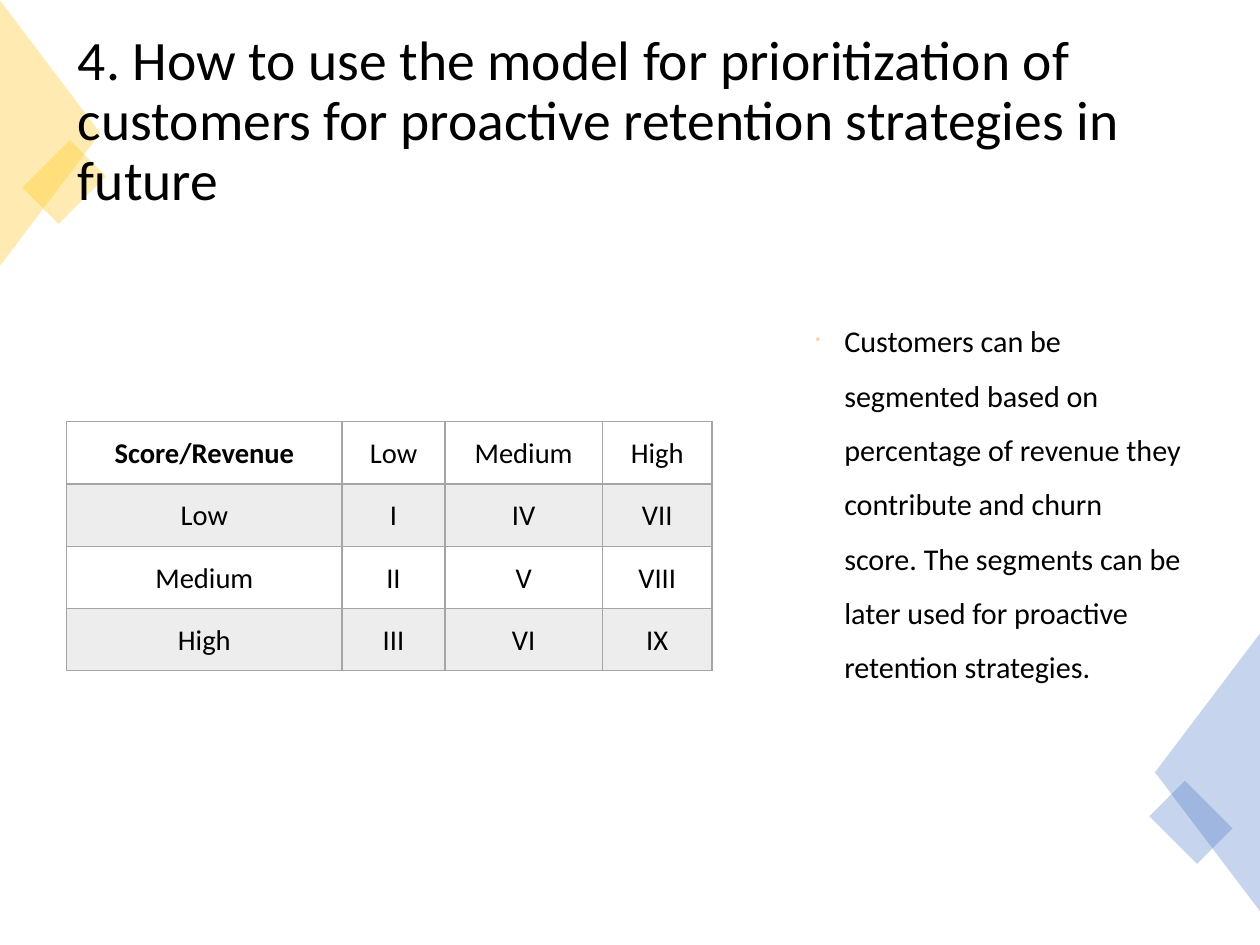
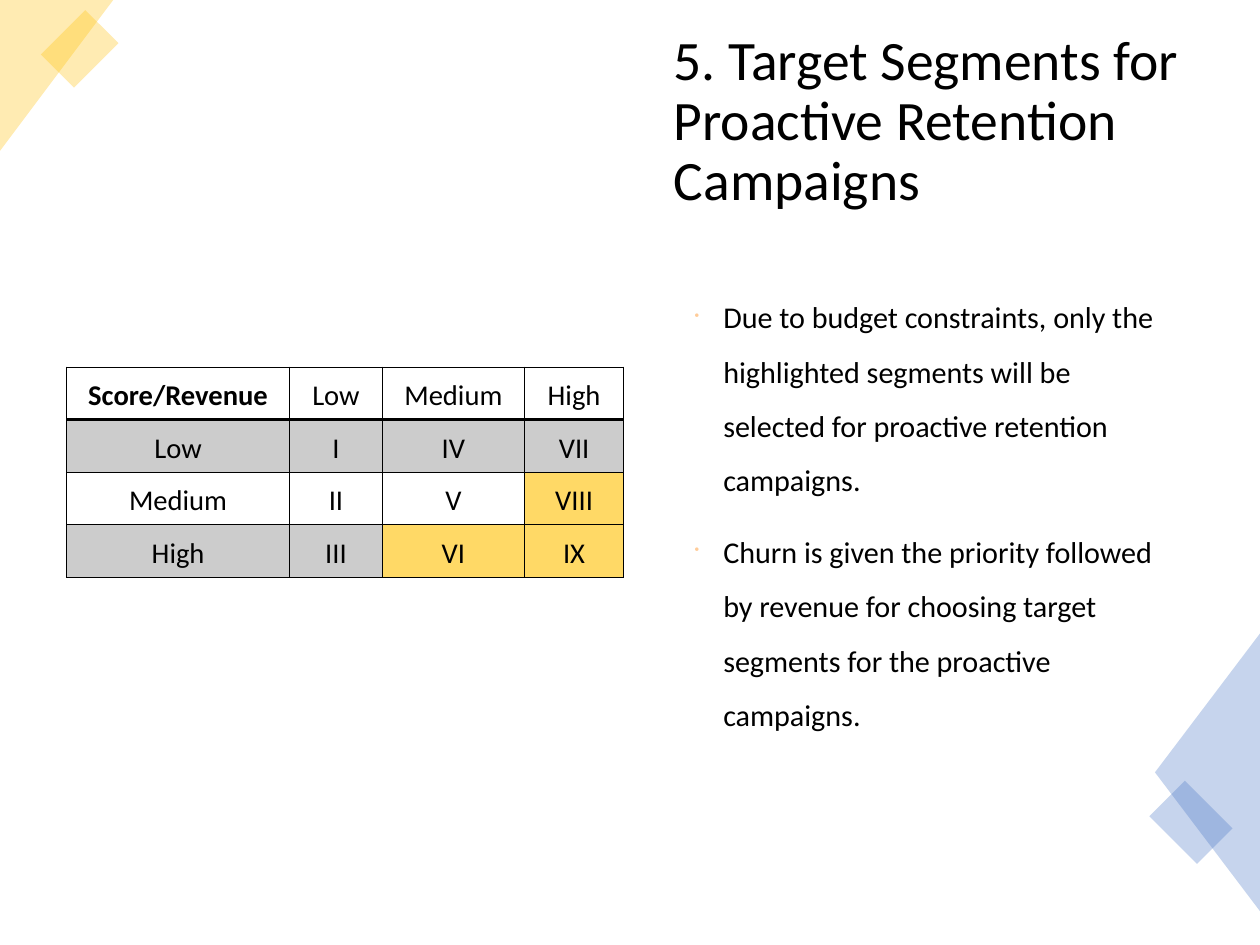
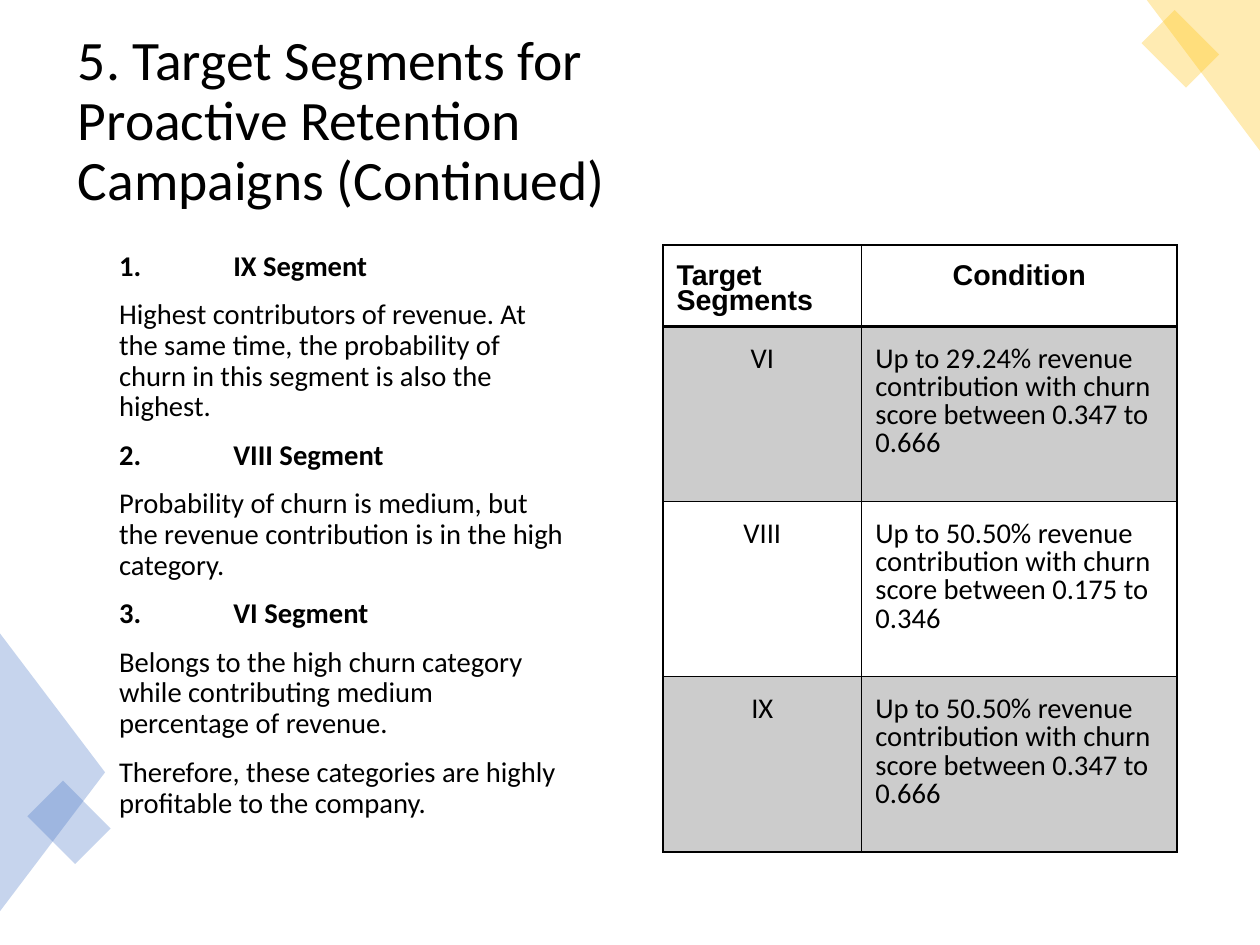
from dataclasses import dataclass, replace

from lxml import etree
from pptx import Presentation
from pptx import util as u
from pptx.dml.color import RGBColor
from pptx.enum import shapes, text
from pptx.oxml import ns
from pptx.slide import Slide

SLIDE_W, SLIDE_H = 793.75, 595.25
LEFT_MARGIN = 42
TITLE_TOP, TITLE_H = 28.1, 98.6
BODY_TOP, BODY_H = 154.8, 381.6


@dataclass(frozen=True)
class Theme:
    ink: str = "000000"
    yellow: str = "FFC000"
    blue: str = "4472C4"
    grey: str = "A5A5A5"
    highlight: str = "FFD966"
    bullet: str = "FFCC99"
    decor_alpha: int = 30
    shade_alpha: int = 20
    font: str = "Calibri"
    head_font: str = "Arial"
    title_size: int = 35
    bullet_size: int = 19
    text_size: int = 18


T = Theme()


@dataclass(frozen=True)
class Decor:
    kind: shapes.MSO_SHAPE
    left: float
    top: float
    width: float
    height: float
    rotation: int
    color: str
    apex: float = 0.5

    def mirrored(self) -> "Decor":
        """Reflect across the slide's vertical centre line."""
        return replace(self, left=SLIDE_W - self.left - self.width,
                       rotation=-self.rotation % 360, apex=1 - self.apex)


@dataclass(frozen=True)
class Box:
    left: float
    top: float
    width: float
    height: float


@dataclass(frozen=True)
class Grid:
    left: float
    top: float
    cols: tuple[float, ...]
    rows: tuple[float, ...]
    cells: tuple[tuple[str, ...], ...]
    line: str
    insets: tuple[float, float, float]  # sides, top, bottom
    bold_heads: int = 1
    head_font: str = T.font
    left_aligned: frozenset[tuple[int, int]] = frozenset()
    highlights: frozenset[tuple[int, int]] = frozenset()


TRI, RECT = shapes.MSO_SHAPE.ISOSCELES_TRIANGLE, shapes.MSO_SHAPE.RECTANGLE
YELLOW_EDGE = (
    Decor(RECT, 19.2, 98.4, 42.5, 32.4, 315, T.yellow),
    Decor(TRI, -52.4, 52.2, 167.8, 63.4, 90, T.yellow),
)
YELLOW_CORNER = (
    Decor(TRI, -11.9, 11.9, 95, 71.3, 90, T.yellow, apex=0),
    Decor(RECT, 30.4, 16, 39.6, 29.5, 315, T.yellow),
)
BLUE_EDGE = (
    Decor(TRI, 673.2, 453.4, 175, 66.2, 270, T.blue),
    Decor(RECT, 729, 502.2, 42.5, 31.7, 45, T.blue),
)
BLUE_EDGE_LEFT = (
    BLUE_EDGE[0].mirrored(),
    replace(BLUE_EDGE[1].mirrored(), rotation=45),
)

SEGMENTS = (
    ("Score/Revenue", "Low", "Medium", "High"),
    ("Low", "I", "IV", "VII"),
    ("Medium", "II", "V", "VIII"),
    ("High", "III", "VI", "IX"),
)
CONDITION = "Up to {}% revenue contribution with churn score between {} to {}"
CONDITIONS = (
    ("Target Segments", "Condition"),
    ("VI", CONDITION.format("29.24", "0.347", "0.666")),
    ("VIII", CONDITION.format("50.50", "0.175", "0.346")),
    ("IX", CONDITION.format("50.50", "0.347", "0.666")),
)


def set_fill(fill, owner, color: str, alpha: int = 100) -> None:
    """Fill solidly; owner is the XML element that holds the fill."""
    fill.solid()
    fill.fore_color.rgb = RGBColor.from_string(color)
    if alpha < 100:
        clr = owner.find(ns.qn("a:solidFill")).find(ns.qn("a:srgbClr"))
        etree.SubElement(clr, ns.qn("a:alpha"), val=str(alpha * 1000))


def add_decor(s: Slide, items: tuple[Decor, ...]) -> None:
    for d in items:
        sp = s.shapes.add_shape(d.kind, u.Pt(d.left), u.Pt(d.top),
                                u.Pt(d.width), u.Pt(d.height))
        sp.rotation = d.rotation
        sp.shadow.inherit = False
        if d.kind == TRI:
            sp.adjustments[0] = d.apex
        set_fill(sp.fill, sp.element.spPr, d.color, T.decor_alpha)
        sp.line.fill.background()


def add_run(p, words: str, size: float, bold: bool = False,
            font: str = T.font) -> None:
    r = p.add_run()
    r.text = words
    r.font.name = font
    r.font.size = u.Pt(size)
    r.font.bold = bold
    r.font.color.rgb = RGBColor.from_string(T.ink)


def add_frame(s: Slide, box: Box):
    tf = s.shapes.add_textbox(u.Pt(box.left), u.Pt(box.top),
                              u.Pt(box.width), u.Pt(box.height)).text_frame
    tf.word_wrap = True
    return tf


def add_title(s: Slide, left: float, width: float, words: str) -> None:
    tf = add_frame(s, Box(left, TITLE_TOP, width, TITLE_H))
    tf.vertical_anchor = text.MSO_ANCHOR.MIDDLE
    p = tf.paragraphs[0]
    p.line_spacing = 0.9
    add_run(p, words, T.title_size)


def add_paragraph(tf, index: int, spacing: float, margin: float,
                  indent: float = 0):
    """Return the next paragraph of a body text, and its properties."""
    p = tf.add_paragraph() if index else tf.paragraphs[0]
    p.line_spacing = spacing
    p.space_before = u.Pt(11)
    ppr = p._p.get_or_add_pPr()
    ppr.set("marL", str(u.Pt(margin)))
    ppr.set("indent", str(u.Pt(indent)))
    return p, ppr


def add_bullets(s: Slide, box: Box, items: tuple[str, ...],
                top_inset: float = 3.6) -> None:
    tf = add_frame(s, box)
    tf.margin_top = u.Pt(top_inset)
    for i, words in enumerate(items):
        p, ppr = add_paragraph(tf, i, 1.5, 33.8, -18)
        clr = etree.SubElement(ppr, ns.qn("a:buClr"))
        etree.SubElement(clr, ns.qn("a:srgbClr"), val=T.bullet)
        etree.SubElement(ppr, ns.qn("a:buSzPct"), val="45000")
        etree.SubElement(ppr, ns.qn("a:buChar"), char="•")
        add_run(p, words, T.bullet_size)


def add_segment_notes(s: Slide, box: Box, notes: tuple[tuple[str, str], ...],
                      closing: str) -> None:
    """Numbered bold headings, each with its text, then a closing line."""
    lines = []
    for number, (heading, words) in enumerate(notes, 1):
        lines += [(f"{number}.\t{heading}", True), (words, False)]
    lines.append((closing, False))
    tf = add_frame(s, box)
    for i, (words, bold) in enumerate(lines):
        p, ppr = add_paragraph(tf, i, 0.9, 25.9)
        ppr.set("defTabSz", str(u.Pt(72)))
        add_run(p, words, T.text_size, bold)


def set_borders(tc_pr, color: str, bottom: float) -> None:
    widths = {"a:lnL": 1, "a:lnR": 1, "a:lnT": 1, "a:lnB": bottom}
    for i, (tag, width) in enumerate(widths.items()):
        ln = etree.Element(ns.qn(tag), w=str(u.Pt(width)))
        fill = etree.SubElement(ln, ns.qn("a:solidFill"))
        etree.SubElement(fill, ns.qn("a:srgbClr"), val=color)
        tc_pr.insert(i, ln)


def fill_cell(cell, g: Grid, row: int, col: int) -> None:
    head = row == 0
    sides, top, bottom = g.insets
    cell.margin_left = cell.margin_right = u.Pt(sides)
    cell.margin_top, cell.margin_bottom = u.Pt(top), u.Pt(bottom)
    p = cell.text_frame.paragraphs[0]
    p.line_spacing = 0.81
    p.alignment = (text.PP_ALIGN.LEFT if (row, col) in g.left_aligned
                   else text.PP_ALIGN.CENTER)
    add_run(p, g.cells[row][col], T.text_size, head and col < g.bold_heads,
            g.head_font if head else T.font)
    tc_pr = cell._tc.get_or_add_tcPr()
    if (row, col) in g.highlights:
        set_fill(cell.fill, tc_pr, T.highlight)
    elif row % 2:
        set_fill(cell.fill, tc_pr, g.line, T.shade_alpha)
    else:
        cell.fill.background()
    set_borders(tc_pr, g.line, 2 if head else 1)


def add_grid(s: Slide, g: Grid) -> None:
    tbl = s.shapes.add_table(len(g.rows), len(g.cols), u.Pt(g.left),
                             u.Pt(g.top), u.Pt(sum(g.cols)),
                             u.Pt(sum(g.rows))).table
    tbl.first_row = tbl.horz_banding = False
    for column, width in zip(tbl.columns, g.cols):
        column.width = u.Pt(width)
    for row, height in enumerate(g.rows):
        tbl.rows[row].height = u.Pt(height)
        for col in range(len(g.cols)):
            fill_cell(tbl.cell(row, col), g, row, col)


def add_model_slide(s: Slide) -> None:
    add_decor(s, YELLOW_EDGE + BLUE_EDGE)
    add_title(s, LEFT_MARGIN, 709.9,
              "4. How to use the model for prioritization of customers "
              "for proactive retention strategies in future")
    add_bullets(s, Box(491, BODY_TOP, 260.6, BODY_H), (
        "Customers can be segmented based on percentage of revenue they "
        "contribute and churn score. The segments can be later used for "
        "proactive retention strategies.",
    ), top_inset=37.2)
    add_grid(s, Grid(LEFT_MARGIN, 265.7, (173.5, 64.8, 99.2, 69.1),
                     (39.2,) * 4, SEGMENTS, T.grey, (7.9, 12.2, 4.3)))


def add_target_slide(s: Slide) -> None:
    add_decor(s, YELLOW_CORNER + BLUE_EDGE)
    add_title(s, 417.4, 334.1,
              "5. Target Segments for Proactive Retention Campaigns")
    add_bullets(s, Box(414.8, 173.3, 334.1, BODY_H), (
        "Due to budget constraints, only the highlighted segments will be "
        "selected for proactive retention campaigns.",
        "Churn is given the priority followed by revenue for choosing "
        "target segments for the proactive campaigns.",
    ))
    add_grid(s, Grid(LEFT_MARGIN, 231.3, (140.4, 58.5, 89.5, 62.6),
                     (33.1,) * 4, SEGMENTS, T.ink, (6.5, 10.1, 3.6),
                     highlights=frozenset({(2, 3), (3, 2), (3, 3)})))


def add_conditions_slide(s: Slide) -> None:
    add_decor(s, BLUE_EDGE_LEFT + tuple(d.mirrored() for d in YELLOW_CORNER))
    add_title(s, LEFT_MARGIN, 417.6,
              "5. Target Segments for Proactive Retention Campaigns "
              "(Continued)")
    add_segment_notes(s, Box(LEFT_MARGIN, BODY_TOP, 323.3, BODY_H), (
        ("IX Segment",
         "Highest contributors of revenue. At the same time, the "
         "probability of churn in this segment is also the highest."),
        ("VIII Segment",
         "Probability of churn is medium, but the revenue contribution is "
         "in the high category."),
        ("VI Segment",
         "Belongs to the high churn category while contributing medium "
         "percentage of revenue."),
    ), "Therefore, these categories are highly profitable to the company.")
    add_grid(s, Grid(417.6, 154.3, (125.3, 198.5), (49,) + (110.4,) * 3,
                     CONDITIONS, T.ink, (8.6, 12.2, 4), bold_heads=2,
                     head_font=T.head_font,
                     left_aligned=frozenset({(0, 0), (1, 1), (2, 1), (3, 1)})))


def main() -> None:
    prs = Presentation()
    prs.slide_width, prs.slide_height = u.Pt(SLIDE_W), u.Pt(SLIDE_H)
    blank = prs.slide_layouts[6]
    for build in (add_model_slide, add_target_slide, add_conditions_slide):
        build(prs.slides.add_slide(blank))
    prs.save("out.pptx")


if __name__ == "__main__":
    main()
